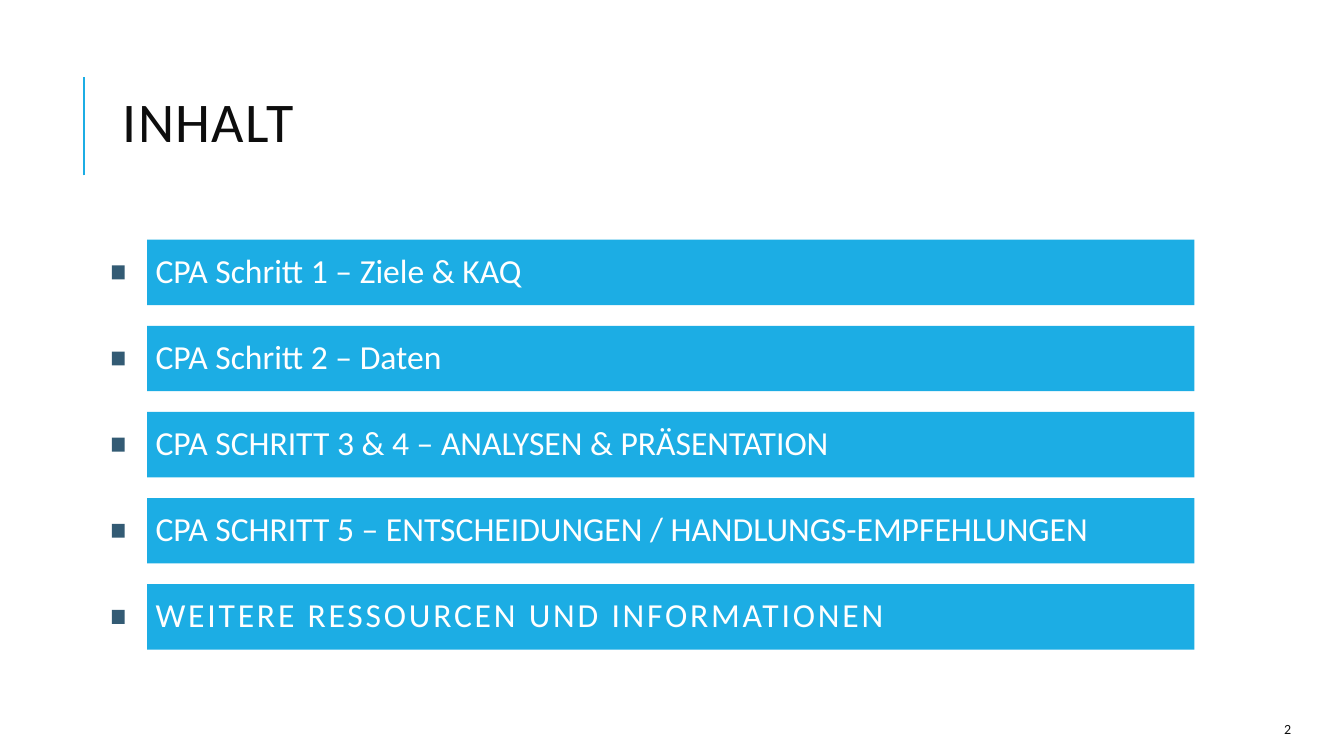
from pptx import Presentation
from pptx.dml.color import RGBColor
from pptx.enum import shapes, text
from pptx.oxml.ns import qn
from pptx.util import Cm, Pt
from lxml import etree

TITLE = "INHALT"
PAGE_NUMBER = "2"
TOPICS = [
    ("CPA Schritt 1 – Ziele & KAQ", 0),
    ("CPA Schritt 2 – Daten", 0),
    ("CPA SCHRITT 3 & 4 – ANALYSEN & PRÄSENTATION", 0),
    ("CPA SCHRITT 5 – ENTSCHEIDUNGEN / HANDLUNGS-EMPFEHLUNGEN", 0),
    ("WEITERE RESSOURCEN UND INFORMATIONEN", 2),
]
COLORS = {"bar": "1CADE4", "marker": "335B74", "dark": "0D0D0D", "light": "FFFFFF"}
FONT = "Calibri"

BAR_LEFT, BAR_TOP, BAR_WIDTH, BAR_HEIGHT = 3.71, 6.04, 26.39, 1.65
BAR_PITCH = 2.17
BAR_INSET = 0.21
MARKER_LEFT, MARKER_WIDTH, MARKER_HEIGHT = 2.82, 0.32, 0.35


def color(name):
    return RGBColor.from_string(COLORS[name])


def add_block(page, left, top, width, height, fill):
    block = page.shapes.add_shape(
        shapes.MSO_SHAPE.RECTANGLE, Cm(left), Cm(top), Cm(width), Cm(height))
    block.shadow.inherit = False
    block.fill.solid()
    block.fill.fore_color.rgb = color(fill)
    block.line.fill.background()
    return block


def write(shape, words, size, ink, align=text.PP_ALIGN.LEFT, line_spacing=1.0, tracking=0):
    frame = shape.text_frame
    frame.text = words
    frame.word_wrap = True
    frame.auto_size = text.MSO_AUTO_SIZE.NONE
    frame.vertical_anchor = text.MSO_ANCHOR.MIDDLE
    para = frame.paragraphs[0]
    para.alignment = align
    para.line_spacing = line_spacing
    span = para.runs[0]
    span.font.name = FONT
    span.font.size = Pt(size)
    span.font.color.rgb = color(ink)
    if tracking:
        span.font._element.set("spc", str(tracking * 100))


def add_heading(page):
    rule = page.shapes.add_connector(
        shapes.MSO_CONNECTOR.STRAIGHT, Cm(2.12), Cm(4.42), Cm(2.12), Cm(1.93))
    rule.line.color.rgb = color("bar")
    rule.line.width = Pt(1.5)
    etree.SubElement(rule._element.spPr, qn("a:effectLst"))

    title = page.shapes.title
    title.left, title.top, title.width, title.height = Cm(2.84), Cm(1.93), Cm(29.97), Cm(2.49)
    write(title, TITLE, 40, "dark", line_spacing=0.8, tracking=1)


def add_topic(page, index, words, tracking):
    top = BAR_TOP + index * BAR_PITCH
    bar = add_block(page, BAR_LEFT, top, BAR_WIDTH, BAR_HEIGHT, "bar")
    write(bar, words, 24, "light", line_spacing=0.9, tracking=tracking)
    frame = bar.text_frame
    frame.margin_left = frame.margin_right = Cm(BAR_INSET)
    frame.margin_top = frame.margin_bottom = Cm(BAR_INSET)

    marker_top = top + (BAR_HEIGHT - MARKER_HEIGHT) / 2
    add_block(page, MARKER_LEFT, marker_top, MARKER_WIDTH, MARKER_HEIGHT, "marker")


def main():
    deck = Presentation()
    deck.slide_width, deck.slide_height = Cm(33.87), Cm(19.05)
    page = deck.slides.add_slide(deck.slide_layouts[5])

    add_heading(page)
    for index, (words, tracking) in enumerate(TOPICS):
        add_topic(page, index, words, tracking)

    number = page.shapes.add_textbox(Cm(30.1), Cm(17.98), Cm(2.69), Cm(0.76))
    write(number, PAGE_NUMBER, 10, "dark", align=text.PP_ALIGN.RIGHT)

    deck.save("out.pptx")


if __name__ == "__main__":
    main()
